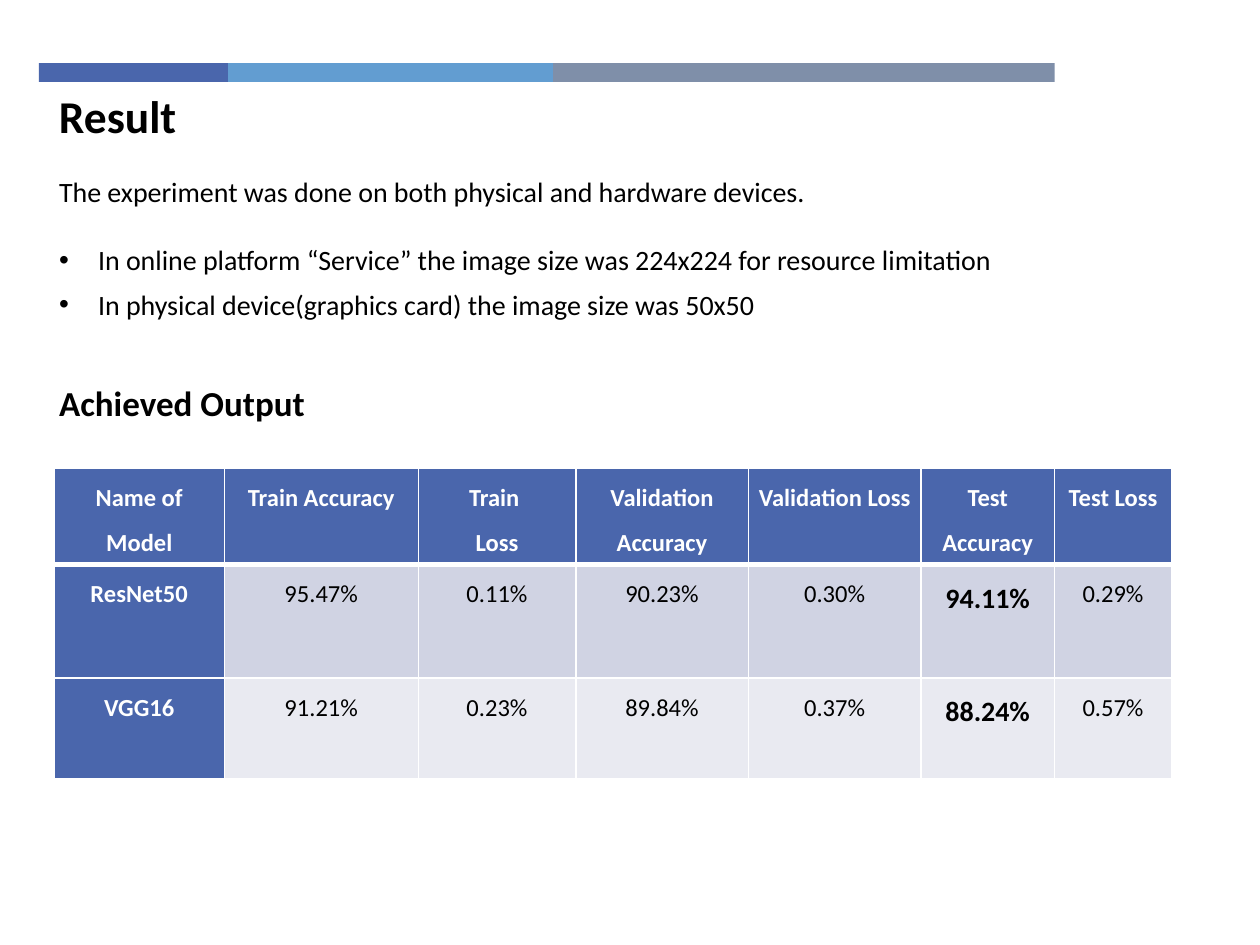
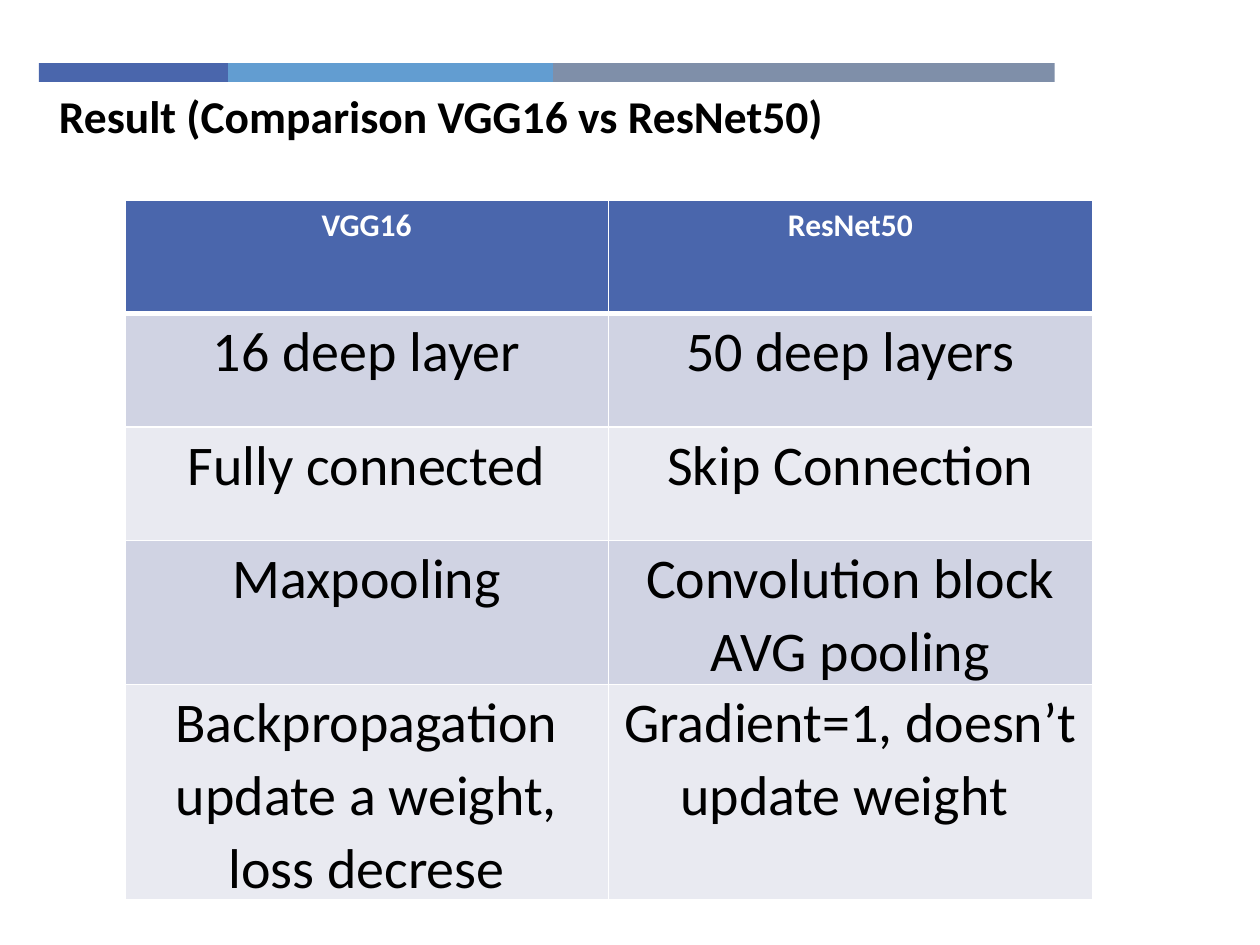
from copy import deepcopy
from itertools import accumulate
from lxml import etree
from pptx import Presentation
from pptx import util as u
from pptx.dml import color
from pptx.enum import shapes, text
from pptx.oxml import ns

BLUE, SKY, SLATE = "4A66AC", "629DD1", "7F8FA9"
BLACK, WHITE = "000000", "FFFFFF"
STRIPES = ["D0D3E3", "E9EAF1"]
FONT = "Calibri"
CENTER, JUSTIFY = text.PP_ALIGN.CENTER, text.PP_ALIGN.JUSTIFY

BAND_LEFT, BAND_TOP, BAND_HEIGHT = 0.31, 0.5, 0.15
BAND = [(1.5, BLUE), (2.58, SKY), (3.98, SLATE)]
MARGIN, TITLE_TOP = 0.37, 0.65

TITLE = {"size": 26, "bold": True}
BODY = {"size": 16, "bold": False}
HEADING = {"size": 20, "bold": True}
TITLE_PARA = {"space_before": u.Pt(20)}
BODY_PARA = {"space_before": u.Pt(6), "alignment": JUSTIFY}
TIGHT = {"margin_left": u.Inches(0.07), "margin_right": u.Inches(0.07),
         "margin_top": 0, "margin_bottom": 0}

RESULT = {
    "title": "Result",
    "title_size": (3.54, 0.54),
    "texts": [
        (1.34, 8.25, 0.4, ["The experiment was done on both physical and hardware devices. "], BODY, False),
        (1.88, 7.89, 1.43, [
            "In online platform “Service” the image size was 224x224 for resource limitation",
            "In physical device(graphics card) the image size was 50x50"], BODY, True),
        (2.98, 8.25, 0.53, ["Achieved Output"], HEADING, False),
    ],
    "table": {
        "at": (0.43, 3.72),
        "columns": [1.35, 1.54, 1.25, 1.37, 1.37, 1.06, 0.93],
        "rows": [0.76, 0.9, 0.8],
        "cells": [
            ["Name of Model", "Train Accuracy", "Train \nLoss", "Validation Accuracy",
             "Validation Loss", "Test Accuracy", "Test Loss"],
            ["ResNet50", "95.47%", "0.11%", "90.23%", "0.30%", "94.11%", "0.29%"],
            ["VGG16", "91.21%", "0.23%", "89.84%", "0.37%", "88.24%", "0.57%"],
        ],
        "head": {"size": 14, "bold": True},
        "value": {"size": 14, "bold": False},
        "strong": {"size": 16, "bold": True},
        "strong_column": 5,
        "head_column": 0,
        "para": {"alignment": CENTER, "line_spacing": 1.5, "space_after": u.Pt(6)},
        "head_para": {"alignment": CENTER, "line_spacing": 1.5, "space_after": u.Pt(6)},
        "head_margins": TIGHT,
    },
}

COMPARISON = {
    "title": "Result (Comparison VGG16 vs ResNet50)",
    "title_size": (7.46, 0.95),
    "texts": [],
    "table": {
        "at": (0.99, 1.59),
        "columns": [3.84, 3.84],
        "rows": [0.9, 0.9, 0.9, 1.01, 1.52],
        "cells": [
            ["VGG16", "ResNet50"],
            ["16 deep layer", "50 deep layers"],
            ["Fully connected", "Skip Connection"],
            ["Maxpooling", "Convolution block AVG pooling"],
            ["Backpropagation update a weight, loss decrese", "Gradient=1, doesn’t update weight "],
        ],
        "head": {"size": 18, "bold": True},
        "value": {"size": 32, "bold": False},
        "para": {"alignment": CENTER, "line_spacing": 1.07},
        "head_para": {"alignment": CENTER},
        "head_margins": {},
    },
}


def rgb(code):
    return color.RGBColor.from_string(code)


def inches(*lengths):
    return [u.Inches(length) for length in lengths]


def assign(target, values):
    for name, value in values.items():
        setattr(target, name, value)


def paint(target, code):
    target.fill.solid()
    target.fill.fore_color.rgb = rgb(code)


def write(para, words, style, layout, ink=BLACK):
    para.text = words
    assign(para, layout)
    for span in para.runs:
        assign(span.font, {"name": FONT, "size": u.Pt(style["size"]), "bold": style["bold"]})
        span.font.color.rgb = rgb(ink)
    for line_break in para._p.findall(ns.qn("a:br")):
        line_break.append(deepcopy(para.runs[0]._r.rPr))


def add_bullet(para):
    properties = para._p.get_or_add_pPr()
    indent = u.Inches(0.31)
    properties.set("marL", str(indent))
    properties.set("indent", str(-indent))
    etree.SubElement(properties, ns.qn("a:buFont")).set("typeface", "Arial")
    etree.SubElement(properties, ns.qn("a:buChar")).set("char", "•")


def add_text(page, left, top, width, height, lines, style, layout, bulleted=False):
    frame = page.shapes.add_textbox(*inches(left, top, width, height)).text_frame
    frame.word_wrap = True
    for index, line in enumerate(lines):
        para = frame.add_paragraph() if index else frame.paragraphs[0]
        write(para, line, style, layout)
        if bulleted:
            add_bullet(para)


def add_band(page):
    widths = [width for width, _ in BAND]
    lefts = accumulate(widths[:-1], initial=BAND_LEFT)
    for left, (width, code) in zip(lefts, BAND):
        stripe = page.shapes.add_shape(
            shapes.MSO_SHAPE.RECTANGLE, *inches(left, BAND_TOP, width, BAND_HEIGHT))
        stripe.shadow.inherit = False
        paint(stripe, code)
        stripe.line.fill.background()


def add_borders(cell, widths):
    properties = cell._tc.get_or_add_tcPr()
    for index, (side, width) in enumerate(widths.items()):
        line = etree.Element(ns.qn("a:ln" + side), w=str(u.Pt(width)))
        fill = etree.SubElement(line, ns.qn("a:solidFill"))
        etree.SubElement(fill, ns.qn("a:srgbClr")).set("val", WHITE)
        properties.insert(index, line)


def add_grid(page, plan):
    columns, rows = plan["columns"], plan["rows"]
    grid = page.shapes.add_table(
        len(rows), len(columns), *inches(*plan["at"], sum(columns), sum(rows))).table
    for column, width in zip(grid.columns, columns):
        column.width = u.Inches(width)
    for row, height in zip(grid.rows, rows):
        row.height = u.Inches(height)
    for r, line in enumerate(plan["cells"]):
        for c, words in enumerate(line):
            cell = grid.cell(r, c)
            is_head = r == 0 or c == plan.get("head_column")
            is_strong = c == plan.get("strong_column")
            style = plan["head" if is_head else "strong" if is_strong else "value"]
            layout = plan["head_para" if r == 0 else "para"]
            write(cell.text_frame.paragraphs[0], words, style, layout, WHITE if is_head else BLACK)
            assign(cell, plan["head_margins"] if r == 0 else TIGHT)
            paint(cell, BLUE if is_head else STRIPES[(r - 1) % 2])
            add_borders(cell, {"L": 1, "R": 1, "T": 3 if r == 1 else 1, "B": 3 if r == 0 else 1})


def main():
    deck = Presentation()
    assign(deck, {"slide_width": u.Inches(10), "slide_height": u.Inches(7.5)})
    for content in (RESULT, COMPARISON):
        page = deck.slides.add_slide(deck.slide_layouts[6])
        add_band(page)
        add_text(page, MARGIN, TITLE_TOP, *content["title_size"], [content["title"]], TITLE, TITLE_PARA)
        for top, width, height, lines, style, bulleted in content["texts"]:
            add_text(page, MARGIN, top, width, height, lines, style, BODY_PARA, bulleted)
        add_grid(page, content["table"])
    deck.save("out.pptx")


if __name__ == "__main__":
    main()
